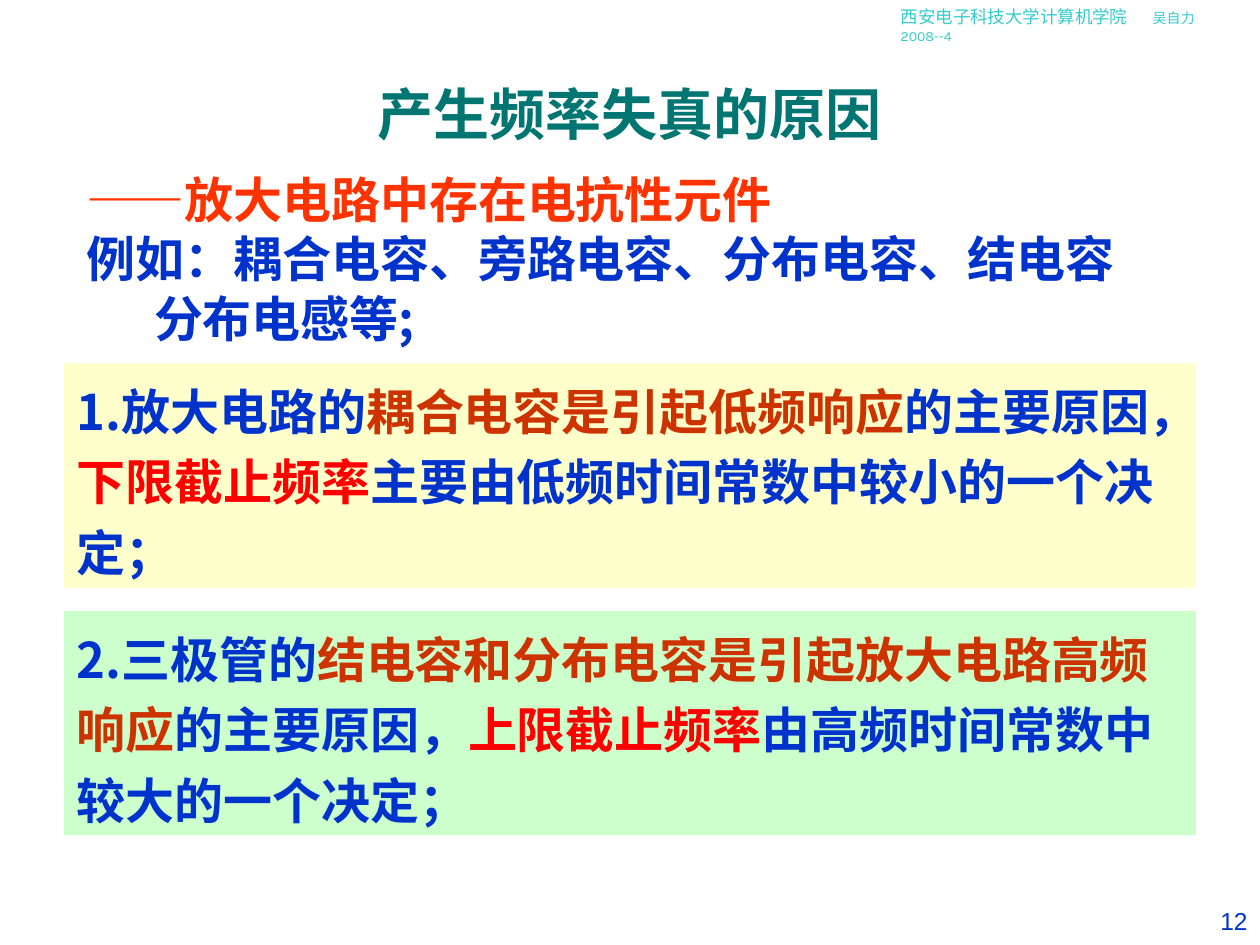
"""Build the slide on the causes of frequency distortion."""
from typing import NamedTuple

import pptx
import pptx.dml.color
import pptx.enum.shapes
import pptx.enum.text
import pptx.oxml.ns
import pptx.util
from lxml import etree

Pt = pptx.util.Pt
ALIGN = pptx.enum.text.PP_ALIGN
ANCHOR = pptx.enum.text.MSO_ANCHOR
CJK = "Noto Sans CJK SC"
BLUE, BROWN, RED, ORANGE = "0033CC", "CC3300", "FF0000", "FF3300"
TEAL, CYAN, YELLOW, GREEN = "007572", "33CCCC", "FFFFCC", "CCFFCC"


class Run(NamedTuple):
    text: str
    color: str = BLUE
    size: float = 28
    font: str = CJK
    bold: bool = True


class Para(NamedTuple):
    runs: list[Run]
    fmt: dict = {}
    margin: float = 0
    tabs: tuple[float, ...] = ()


class Box(NamedTuple):
    left: float
    top: float
    width: float
    height: float
    paras: list[Para]
    fill: str | None = None
    anchor: ANCHOR = ANCHOR.TOP


def rgb(value: str) -> pptx.dml.color.RGBColor:
    return pptx.dml.color.RGBColor.from_string(value)


def add_run(p, run: Run) -> None:
    r = p.add_run()
    r.text = run.text
    for name, value in {"name": run.font, "size": Pt(run.size), "bold": run.bold}.items():
        setattr(r.font, name, value)
    r.font.color.rgb = rgb(run.color)
    ea = etree.SubElement(r.font._element, pptx.oxml.ns.qn("a:ea"))
    ea.set("typeface", CJK)


def add_para(p, para: Para) -> None:
    for name, value in para.fmt.items():
        setattr(p, name, value)
    pPr = p._p.get_or_add_pPr()
    pPr.set("marL", str(Pt(para.margin)))
    pPr.set("indent", "0")
    if para.tabs:
        tabs = etree.SubElement(pPr, pptx.oxml.ns.qn("a:tabLst"))
        for pos in para.tabs:
            etree.SubElement(tabs, pptx.oxml.ns.qn("a:tab"), pos=str(Pt(pos)), algn="l")
    for run in para.runs:
        add_run(p, run)


def add_box(s, box: Box) -> None:
    place = [Pt(v) for v in box[:4]]
    if box.fill:
        sp = s.shapes.add_shape(pptx.enum.shapes.MSO_SHAPE.RECTANGLE, *place)
        sp.shadow.inherit = False
        sp.fill.solid()
        sp.fill.fore_color.rgb = rgb(box.fill)
        sp.line.fill.background()
    else:
        sp = s.shapes.add_textbox(*place)
    tf = sp.text_frame
    tf.word_wrap = True
    tf.vertical_anchor = box.anchor
    for i, para in enumerate(box.paras):
        add_para(tf.add_paragraph() if i else tf.paragraphs[0], para)


def cause(top: float, fill: str, parts: list[str]) -> Box:
    colors = (BLUE, BROWN, BLUE, RED, BLUE)
    runs = [Run(text, color) for text, color in zip(parts, colors)]
    fmt = {"alignment": ALIGN.LEFT, "line_spacing": 1.2}
    return Box(36.7, top, 646.6, 128.2, [Para(runs, fmt)], fill)


def main() -> None:
    tight = {"line_spacing": 0.8}
    spaced = tight | {"space_before": Pt(7)}
    header = [
        Run("西安电子科技大学计算机学院", CYAN, 10, "Karla", False),
        Run("\t吴自力\t2008--4", CYAN, 8, "Karla", False),
    ]
    examples = [
        Run("例如：耦合电容、旁路电容、分布电容、"),
        Run("结电容", font="Times New Roman"),
    ]
    boxes = [
        Box(507.6, 0, 212.4, 28.8, [Para(header, tabs=(133.2, 163.4))]),
        Box(54, 31.7, 612, 65.5,
            [Para([Run("产生频率失真的原因", TEAL, 32)], {"alignment": ALIGN.CENTER})],
            anchor=ANCHOR.MIDDLE),
        Box(42.5, 94.3, 612, 113, [
            Para([Run("——放大电路中存在电抗性元件", ORANGE)], tight),
            Para(examples, spaced),
            Para([Run("分布电感等;")], spaced, margin=38.5),
        ], anchor=ANCHOR.MIDDLE),
        cause(207.6, YELLOW, [
            "1.放大电路的", "耦合电容是引起低频响应", "的主要原因，",
            "下限截止频率", "主要由低频时间常数中较小的一个决定；"]),
        cause(349.2, GREEN, [
            "2.三极管的", "结电容和分布电容是引起放大电路高频响应", "的主要原因，",
            "上限截止频率", "由高频时间常数中较大的一个决定；"]),
        Box(689, 514, 31, 26,
            [Para([Run("12", size=14, font="Arial", bold=False)], {"alignment": ALIGN.RIGHT})]),
    ]
    prs = pptx.Presentation()
    prs.slide_width, prs.slide_height = Pt(720), Pt(540)
    s = prs.slides.add_slide(prs.slide_layouts[6])
    for box in boxes:
        add_box(s, box)
    prs.save("out.pptx")


if __name__ == "__main__":
    main()
